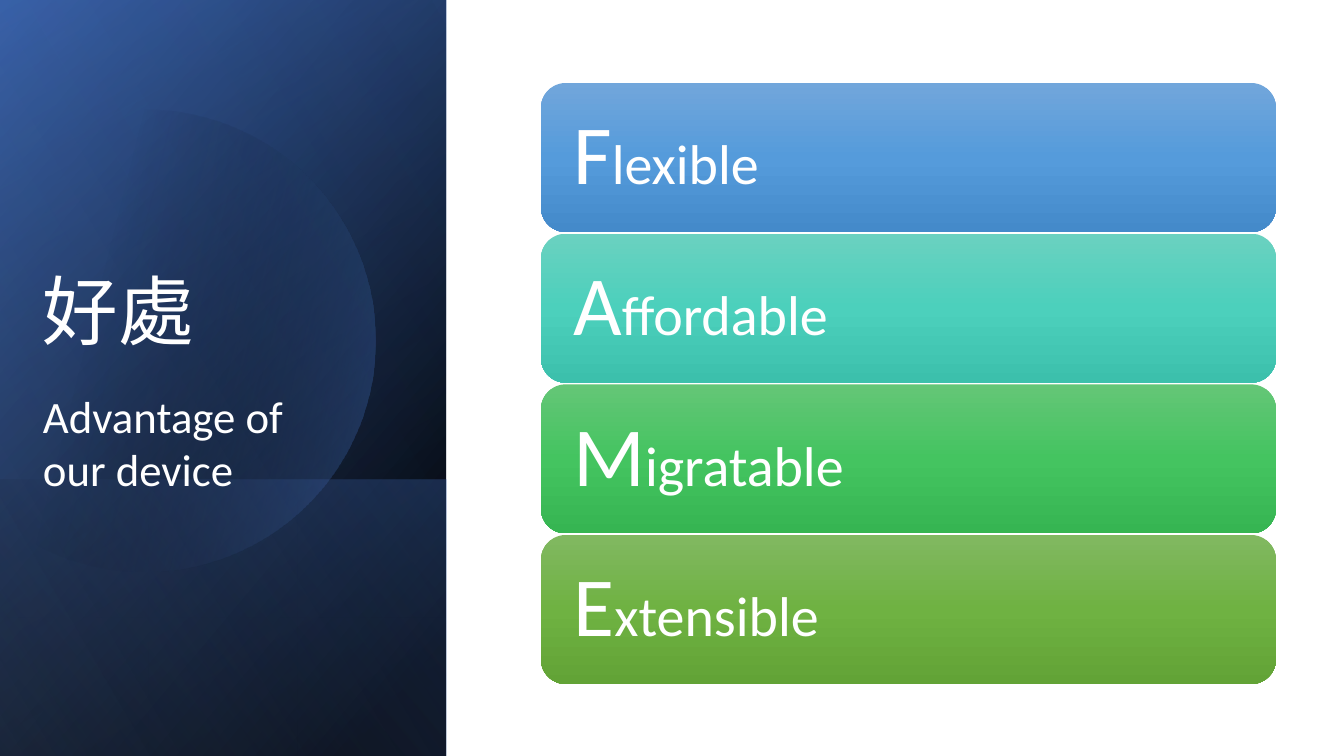
from dataclasses import dataclass
from math import acos, cos, pi, sin

from lxml import etree
from pptx import Presentation
from pptx.dml.color import RGBColor
from pptx.enum.shapes import MSO_SHAPE
from pptx.enum.text import MSO_ANCHOR, MSO_AUTO_SIZE, PP_ALIGN
from pptx.oxml.ns import qn
from pptx.shapes.autoshape import Shape
from pptx.shapes.shapetree import SlideShapes
from pptx.slide import Slide
from pptx.text.text import _Paragraph
from pptx.util import Emu, Pt

RECTANGLE, ROUNDED = MSO_SHAPE.RECTANGLE, MSO_SHAPE.ROUNDED_RECTANGLE
MIDDLE, TOP = MSO_ANCHOR.MIDDLE, MSO_ANCHOR.TOP
LEFT = PP_ALIGN.LEFT
GROW = MSO_AUTO_SIZE.SHAPE_TO_FIT_TEXT

SLIDE_W, SLIDE_H = 1344, 756
EMU_PER_PX = 12192000 / SLIDE_W


@dataclass(frozen=True)
class Theme:
    white: str = "FFFFFF"
    black: str = "000000"
    navy: str = "2F5597"
    blue: str = "4472C4"
    pale_blue: str = "8FAADC"
    latin: str = "Calibri"
    chinese: str = "Noto Sans CJK TC"
    initial: int = 60
    heading: int = 54
    word: int = 40
    subtitle: int = 32


THEME = Theme()


@dataclass(frozen=True)
class Stop:
    position: int
    color: str
    opacity: int = 100


@dataclass(frozen=True)
class Panel:
    """A gradient layer of the sidebar, reaching down to the slide's bottom."""
    top: int
    angle: int
    stops: tuple[Stop, ...]


@dataclass(frozen=True)
class Advantage:
    name: str
    colors: tuple[str, str, str]


SIDEBAR_W = 446
BASE_LAYERS = (
    Panel(0, 50, (Stop(8, THEME.black), Stop(100, THEME.navy))),
    Panel(0, 30, (Stop(0, THEME.black, 0), Stop(99, THEME.blue, 46))),
    Panel(480, 130, (Stop(2, THEME.blue, 29), Stop(100, THEME.black, 30))),
)
TOP_LAYER = Panel(0, 120, (Stop(0, THEME.black, 0), Stop(99, THEME.pale_blue, 11)))

DISC_X, DISC_Y, DISC_R = 144, 341, 231
DISC_STEPS = 120
DISC_STOPS = (Stop(29, THEME.black, 0), Stop(100, THEME.blue, 43))

ADVANTAGES = (
    Advantage("Flexible", ("71A6DB", "559BDB", "448ACA")),
    Advantage("Affordable", ("6AD1C0", "4CD0BC", "3CC0AC")),
    Advantage("Migratable", ("64C677", "44C460", "36B552")),
    Advantage("Extensible", ("81B861", "6FB242", "62A336")),
)
BAR_X, BAR_W, BAR_H = 541, 735, 149
FIRST_BAR_Y, LAST_BAR_Y = 83, 535
BAR_INSET = 25


def px(length: float) -> Emu:
    return Emu(round(length * EMU_PER_PX))


def fill_gradient(shape: Shape, stops: tuple[Stop, ...], angle: int) -> None:
    """Fill without outline or shadow; the angle runs clockwise in degrees."""
    shape.shadow.inherit = False
    shape.line.fill.background()
    shape.fill.background()
    properties = shape._element.spPr
    gradient = etree.Element(qn("a:gradFill"), rotWithShape="1")
    stop_list = etree.SubElement(gradient, qn("a:gsLst"))
    for stop in stops:
        entry = etree.SubElement(stop_list, qn("a:gs"), pos=str(stop.position * 1000))
        color = etree.SubElement(entry, qn("a:srgbClr"), val=stop.color)
        if stop.opacity < 100:
            etree.SubElement(color, qn("a:alpha"), val=str(stop.opacity * 1000))
    etree.SubElement(gradient, qn("a:lin"), ang=str(angle * 60000), scaled="0")
    properties.replace(properties.find(qn("a:noFill")), gradient)


def write(paragraph: _Paragraph, text: str, *, size: int,
          font: str = THEME.latin, color: str = THEME.white) -> None:
    run = paragraph.add_run()
    run.text = text
    run.font.size = Pt(size)
    run.font.color.rgb = RGBColor.from_string(color)
    run.font.name = font
    etree.SubElement(run._r.get_or_add_rPr(), qn("a:ea"), typeface=font)


def draw_panel(shapes: SlideShapes, panel: Panel) -> None:
    """Place a mirrored rectangle, turned a quarter, over the visible area."""
    height = SLIDE_H - panel.top
    center_x, center_y = SIDEBAR_W / 2, panel.top + height / 2
    layer = shapes.add_shape(RECTANGLE, px(center_x - height / 2),
                             px(center_y - SIDEBAR_W / 2), px(height), px(SIDEBAR_W))
    layer.rotation = 90
    layer._element.spPr.find(qn("a:xfrm")).set("flipH", "1")
    fill_gradient(layer, panel.stops, panel.angle)


def draw_disc(shapes: SlideShapes) -> None:
    """Draw the circle, cut off by the slide's left edge."""
    reach = pi - acos(DISC_X / DISC_R)
    angles = [reach * (2 * step / DISC_STEPS - 1) for step in range(DISC_STEPS + 1)]
    points = [(px(DISC_X + DISC_R * cos(angle)), px(DISC_Y + DISC_R * sin(angle)))
              for angle in angles]
    builder = shapes.build_freeform(*points[0])
    builder.add_line_segments(points[1:], close=True)
    fill_gradient(builder.convert_to_shape(), DISC_STOPS, 14)


def draw_advantage(shapes: SlideShapes, advantage: Advantage, top: float) -> None:
    bar = shapes.add_shape(ROUNDED, px(BAR_X), px(top), px(BAR_W), px(BAR_H))
    stops = tuple(Stop(50 * i, color) for i, color in enumerate(advantage.colors))
    fill_gradient(bar, stops, 90)
    frame = bar.text_frame
    frame.word_wrap = True
    frame.vertical_anchor = MIDDLE
    frame.margin_left = frame.margin_right = px(BAR_INSET)
    frame.margin_top = frame.margin_bottom = px(BAR_INSET)
    label = frame.paragraphs[0]
    label.alignment = LEFT
    label.line_spacing = 0.9
    write(label, advantage.name[0], size=THEME.initial)
    write(label, advantage.name[1:], size=THEME.word)


def draw_title(shapes: SlideShapes) -> None:
    frame = shapes.add_textbox(px(33), px(259), px(263), px(244)).text_frame
    frame.word_wrap = False
    frame.auto_size = GROW
    frame.vertical_anchor = TOP
    write(frame.paragraphs[0], "好處", size=THEME.heading, font=THEME.chinese)
    for line, gap in (("Advantage of", 24), ("our device", 0)):
        subtitle = frame.add_paragraph()
        subtitle.space_before = Pt(gap)
        write(subtitle, line, size=THEME.subtitle)


def build(slide: Slide) -> None:
    shapes = slide.shapes

    # Sidebar background
    for panel in BASE_LAYERS:
        draw_panel(shapes, panel)
    draw_disc(shapes)
    draw_panel(shapes, TOP_LAYER)

    # Advantage bars
    pitch = (LAST_BAR_Y - FIRST_BAR_Y) / (len(ADVANTAGES) - 1)
    for index, advantage in enumerate(ADVANTAGES):
        draw_advantage(shapes, advantage, FIRST_BAR_Y + index * pitch)

    # Sidebar title
    draw_title(shapes)


def main() -> None:
    deck = Presentation()
    deck.slide_width, deck.slide_height = px(SLIDE_W), px(SLIDE_H)
    build(deck.slides.add_slide(deck.slide_layouts[6]))
    deck.save("out.pptx")


if __name__ == "__main__":
    main()
